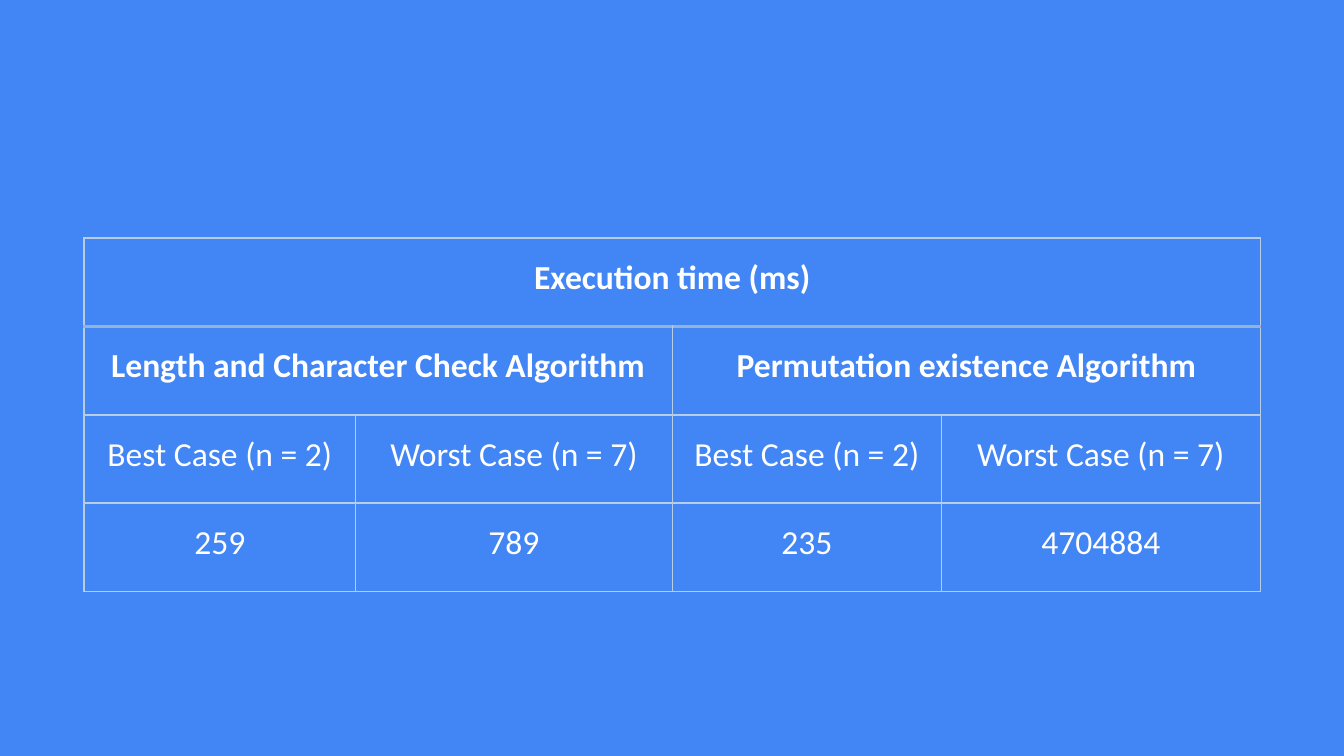
from dataclasses import dataclass

from lxml.etree import SubElement
from pptx import Presentation
from pptx.dml.color import RGBColor
from pptx.enum.text import MSO_ANCHOR, PP_ALIGN
from pptx.oxml.ns import qn
from pptx.slide import Slide
from pptx.table import Table, _Cell
from pptx.util import Cm, Pt

COLORS = {"back": "4285F4", "text": "FFFFFF", "line": "B8CCE4", "rule": "95B3D7"}
WIDTHS = [5.13, 5.99, 5.08, 6.03]
HEIGHT = 1.67


@dataclass
class Entry:
    text: str
    span: int = 1
    bold: bool = False


CASES = [Entry("Best Case (n = 2)"), Entry("Worst Case (n = 7)")]
ROWS = [
    [Entry("Execution time (ms)", 4, True)],
    [
        Entry("Length and Character Check Algorithm", 2, True),
        Entry("Permutation existence Algorithm", 2, True),
    ],
    CASES * 2,
    [Entry(time) for time in ("259", "789", "235", "4704884")],
]


def add_edge(cell: _Cell, side: str, color: str, width: float) -> None:
    props = cell._tc.get_or_add_tcPr()
    edge = SubElement(props, qn(f"a:ln{side}"), w=str(Pt(width)))
    fill = SubElement(edge, qn("a:solidFill"))
    SubElement(fill, qn("a:srgbClr"), val=COLORS[color])


def style_cell(cell: _Cell, row: int) -> None:
    heavy = {(0, "B"), (1, "T")}
    for side in "LRTB":
        if (row, side) in heavy:
            add_edge(cell, side, "rule", 1.5)
        else:
            add_edge(cell, side, "line", 1)
    cell.fill.background()
    cell.margin_left = cell.margin_right = Cm(0.18)
    cell.margin_top = cell.margin_bottom = Cm(0.25)
    cell.vertical_anchor = MSO_ANCHOR.TOP


def write_entry(cell: _Cell, entry: Entry) -> None:
    para = cell.text_frame.paragraphs[0]
    para.alignment = PP_ALIGN.CENTER
    para.line_spacing = 1.15
    run = para.add_run()
    run.text = entry.text
    run.font.name = "Calibri"
    run.font.size = Pt(18)
    run.font.bold = entry.bold
    run.font.color.rgb = RGBColor.from_string(COLORS["text"])


def fill_row(table: Table, row: int, entries: list[Entry]) -> None:
    for col in range(len(WIDTHS)):
        style_cell(table.cell(row, col), row)
    col = 0
    for entry in entries:
        cell = table.cell(row, col)
        if entry.span > 1:
            cell.merge(table.cell(row, col + entry.span - 1))
        write_entry(cell, entry)
        col += entry.span


def add_times(slide: Slide) -> None:
    frame = slide.shapes.add_table(
        len(ROWS), len(WIDTHS), Cm(1.59), Cm(4.5),
        Cm(sum(WIDTHS)), Cm(HEIGHT * len(ROWS)),
    )
    table = frame.table
    table.first_row = table.horz_banding = False
    for column, width in zip(table.columns, WIDTHS):
        column.width = Cm(width)
    for row, entries in enumerate(ROWS):
        table.rows[row].height = Cm(HEIGHT)
        fill_row(table, row, entries)


def main() -> None:
    deck = Presentation()
    deck.slide_width, deck.slide_height = Cm(25.4), Cm(14.29)
    slide = deck.slides.add_slide(deck.slide_layouts[6])
    back = slide.background.fill
    back.solid()
    back.fore_color.rgb = RGBColor.from_string(COLORS["back"])
    add_times(slide)
    deck.save("out.pptx")


if __name__ == "__main__":
    main()
